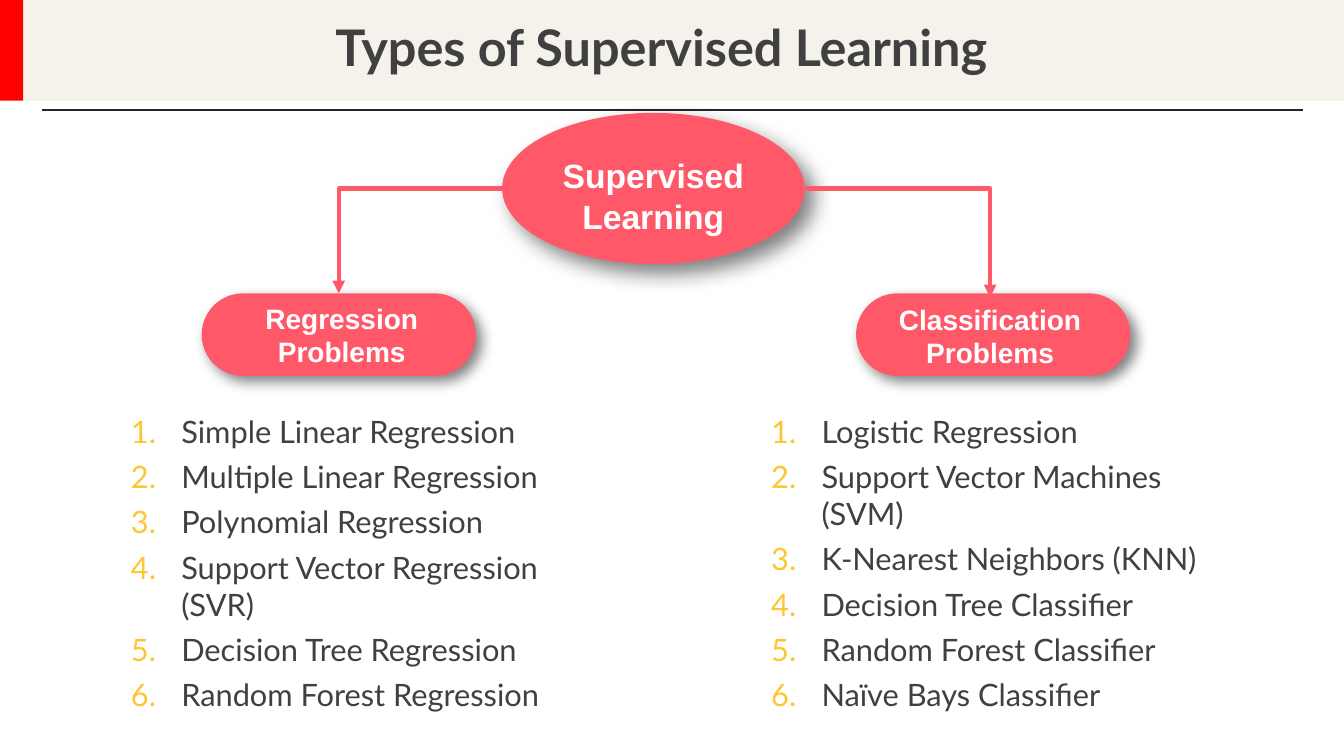
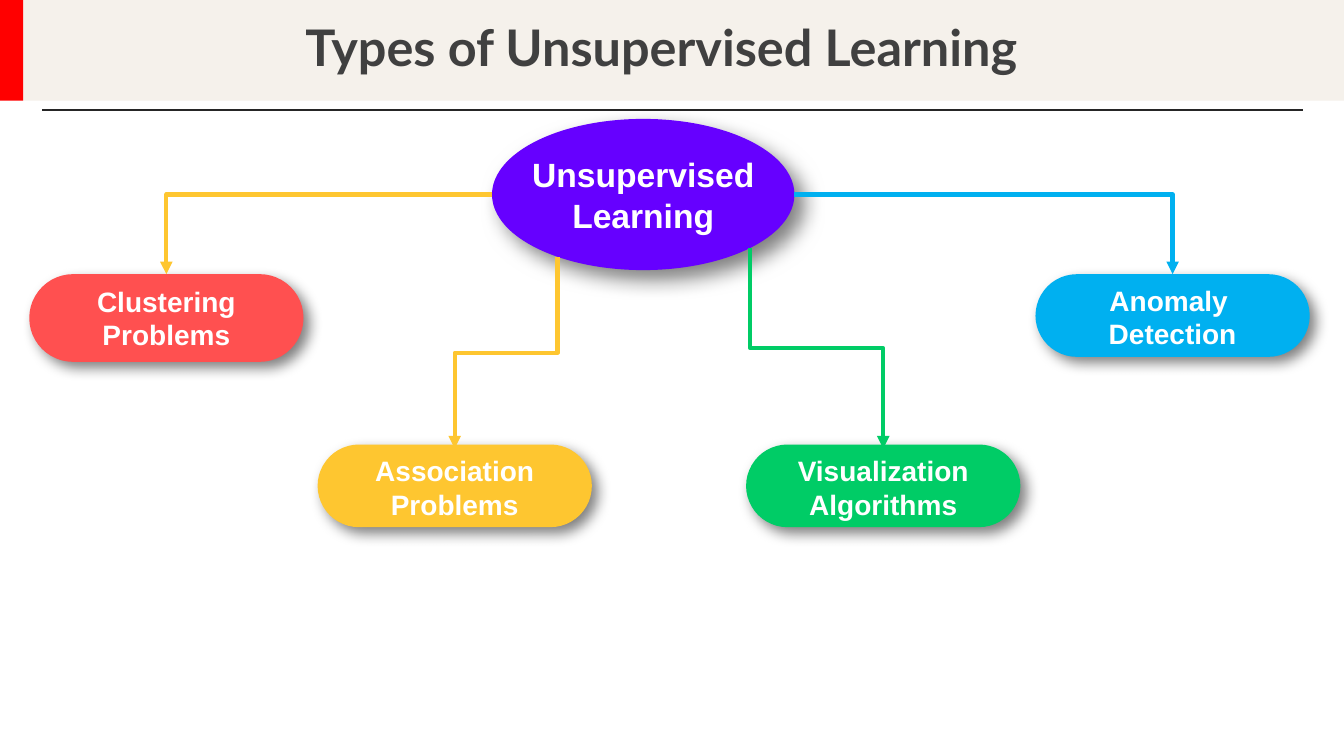
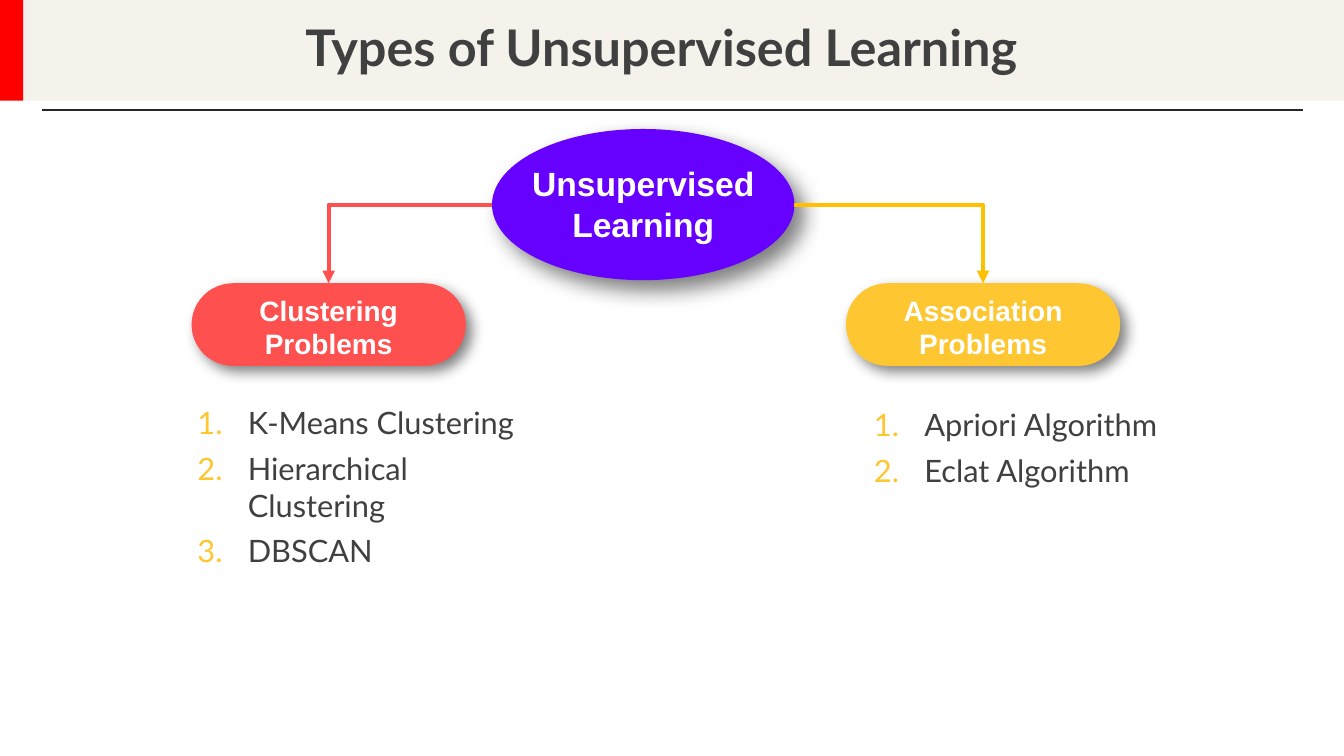
from dataclasses import dataclass

from lxml import etree
from pptx import Presentation
from pptx import util as u
from pptx.dml import color as c
from pptx.enum import shapes, text
from pptx.oxml import ns


# Shared look: colours, fonts, sizes
@dataclass(frozen=True)
class Theme:
    band: str = "F5F1EB"
    accent: str = "FF0000"
    rule: str = "262626"
    ink: str = "404040"
    white: str = "FFFFFF"
    coral: str = "FF5969"
    red: str = "FF5050"
    violet: str = "6600FF"
    amber: str = "FEC630"
    gold: str = "FFC000"
    blue: str = "00B0F0"
    green: str = "00CC66"
    body_font: str = "Lato"
    node_font: str = "Arial"
    title_size: int = 36
    root_size: int = 24
    pill_size: int = 20
    list_size: int = 22


THEME = Theme()
Point = tuple[float, float]


# Kinds of diagram node: geometry, label size and shadow
@dataclass(frozen=True)
class NodeStyle:
    shape: shapes.MSO_SHAPE
    width: float
    height: float
    label_width: float
    label_height: float
    size: int
    blur: int
    distance: int


ROOT = NodeStyle(shapes.MSO_SHAPE.OVAL, 3, 1.5, 2.7, 0.81, THEME.root_size, 15, 10)
PILL = NodeStyle(shapes.MSO_SHAPE.ROUNDED_RECTANGLE, 2.72, 0.82, 2.85, 0.77,
                 THEME.pill_size, 10, 6)


@dataclass(frozen=True)
class Node:
    style: NodeStyle
    lines: tuple[str, ...]
    left: float
    top: float
    fill: str
    label_shift: float = 0
    label_drop: float = 0.04
    extra_height: float = 0


@dataclass(frozen=True)
class Link:
    start: Point
    end: Point
    color: str
    vertical: bool = False


@dataclass(frozen=True)
class NumberedList:
    left: float
    top: float
    width: float
    height: float
    items: tuple[str, ...]


@dataclass(frozen=True)
class Diagram:
    title: str
    nodes: tuple[Node, ...]
    links: tuple[Link, ...]
    lists: tuple[NumberedList, ...] = ()


# Drawing helpers
def rgb(value: str) -> c.RGBColor:
    return c.RGBColor.from_string(value)


def add_xml(parent, tag: str, **attributes):
    child = etree.SubElement(parent, ns.qn(tag))
    for name, value in attributes.items():
        child.set(name, str(value))
    return child


def add_shape(parent, kind, left: float, top: float, width: float, height: float,
              fill: str):
    shape = parent.shapes.add_shape(kind, u.Inches(left), u.Inches(top),
                                    u.Inches(width), u.Inches(height))
    shape.fill.solid()
    shape.fill.fore_color.rgb = rgb(fill)
    shape.line.fill.background()
    shape.shadow.inherit = False
    return shape


def add_text_box(parent, left: float, top: float, width: float, height: float):
    box = parent.shapes.add_textbox(u.Inches(left), u.Inches(top),
                                    u.Inches(width), u.Inches(height))
    box.text_frame.word_wrap = True
    return box.text_frame


def add_paras(frame, lines: tuple[str, ...], font: str, size: int, color: str,
              bold: bool = False, align=text.PP_ALIGN.CENTER) -> list:
    paras = []
    for index, line in enumerate(lines):
        para = frame.add_paragraph() if index else frame.paragraphs[0]
        para.alignment = align
        span = para.add_run()
        span.text = line
        span.font.name = font
        span.font.size = u.Pt(size)
        span.font.bold = bold
        span.font.color.rgb = rgb(color)
        paras.append(para)
    return paras


def add_line(page, kind, start: Point, end: Point, color: str, weight: float):
    line = page.shapes.add_connector(kind, *(u.Inches(n) for n in start + end))
    line.line.color.rgb = rgb(color)
    line.line.width = u.Pt(weight)
    add_xml(line.element.spPr, "a:effectLst")
    return line


def add_header(page, title: str) -> None:
    rectangle = shapes.MSO_SHAPE.RECTANGLE
    add_shape(page, rectangle, 0.23, 0, 13.1, 1, THEME.band)
    frame = add_text_box(page, 0.63, 0, 11.86, 1)
    frame.vertical_anchor = text.MSO_ANCHOR.MIDDLE
    para, = add_paras(frame, (title,), THEME.body_font, THEME.title_size,
                      THEME.ink, bold=True)
    para.line_spacing = 0.9
    add_shape(page, rectangle, 0, 0, 0.23, 1, THEME.accent)
    add_line(page, shapes.MSO_CONNECTOR.STRAIGHT, (0.42, 1.09), (12.92, 1.09),
             THEME.rule, 1.5)


def add_node(page, node: Node) -> None:
    style = node.style
    group = page.shapes.add_group_shape()
    shape = add_shape(group, style.shape, node.left, node.top, style.width,
                      style.height + node.extra_height, node.fill)
    if style is PILL:
        shape.adjustments[0] = 0.5
    effects = shape.element.spPr.find(ns.qn("a:effectLst"))
    shadow = add_xml(effects, "a:outerShdw", blurRad=u.Pt(style.blur),
                     dist=u.Pt(style.distance), dir=45 * 60000,
                     algn="tl", rotWithShape=0)
    tint = add_xml(shadow, "a:srgbClr", val="000000")
    add_xml(tint, "a:alpha", val=50000)
    label_left = node.left + (style.width - style.label_width) / 2 + node.label_shift
    frame = add_text_box(group, label_left, node.top + node.label_drop,
                         style.label_width, style.label_height)
    add_paras(frame, node.lines, THEME.node_font, style.size, THEME.white, bold=True)


def add_link(page, link: Link) -> None:
    """Draw an elbow arrow; a vertical one leaves its start downwards."""
    (x1, y1), (x2, y2) = link.start, link.end
    width, height = abs(x2 - x1), abs(y2 - y1)
    if link.vertical:
        width, height = height, width
    left, top = (x1 + x2 - width) / 2, (y1 + y2 - height) / 2
    line = add_line(page, shapes.MSO_CONNECTOR.ELBOW, (left, top),
                    (left + width, top + height), link.color, 3)
    properties = line.element.spPr
    if not link.vertical:
        properties.find(ns.qn("a:prstGeom")).set("prst", "bentConnector2")
    # Turn and mirror by (vertical, towards the left)
    turn, mirror = {(False, False): (0, ""), (False, True): (180, "flipV"),
                    (True, False): (270, "flipH"), (True, True): (90, "")
                    }[link.vertical, x2 < x1]
    frame = properties.find(ns.qn("a:xfrm"))
    frame.set("rot", str(turn * 60000))
    if mirror:
        frame.set(mirror, "1")
    add_xml(properties.find(ns.qn("a:ln")), "a:tailEnd", type="triangle")


def add_list(page, block: NumberedList) -> None:
    frame = add_text_box(page, block.left, block.top, block.width, block.height)
    paras = add_paras(frame, block.items, THEME.body_font, THEME.list_size,
                      THEME.ink, align=text.PP_ALIGN.LEFT)
    for index, para in enumerate(paras):
        para.space_before = u.Pt(6 if index else 0)
        layout = para._p.get_or_add_pPr()
        layout.set("marL", str(u.Inches(0.5)))
        layout.set("indent", str(u.Inches(-0.5)))
        add_xml(add_xml(layout, "a:buClr"), "a:srgbClr", val=THEME.amber)
        add_xml(layout, "a:buAutoNum", type="arabicPeriod")


# Slide content
UNSUPERVISED = "Types of Unsupervised Learning"
CLUSTERING = ("Clustering Problems",)
ASSOCIATION = ("Association Problems",)

DIAGRAMS = (
    Diagram(
        "Types of Supervised Learning",
        (Node(ROOT, ("Supervised Learning",), 4.98, 1.12, THEME.coral, label_drop=0.37),
         Node(PILL, ("Classification Problems",), 8.49, 2.91, THEME.coral, -0.03),
         Node(PILL, ("Regression Problems",), 2, 2.91, THEME.coral, 0.03, 0.03)),
        (Link((4.98, 1.87), (3.36, 2.91), THEME.coral),
         Link((7.98, 1.87), (9.82, 2.95), THEME.coral)),
        (NumberedList(1.2, 4.04, 4.85, 3.11, (
            "Simple Linear Regression", "Multiple Linear Regression",
            "Polynomial Regression", "Support Vector Regression (SVR)",
            "Decision Tree Regression", "Random Forest Regression")),
         NumberedList(7.55, 4.04, 4.85, 3.11, (
             "Logistic Regression", "Support Vector Machines (SVM)",
             "K-Nearest Neighbors (KNN)", "Decision Tree Classifier",
             "Random Forest Classifier", "Naïve Bays Classifier"))),
    ),
    Diagram(
        UNSUPERVISED,
        (Node(ROOT, ("Unsupervised Learning",), 4.88, 1.18, THEME.violet, label_drop=0.3),
         Node(PILL, ("Anomaly ", "Detection"), 10.27, 2.72, THEME.blue),
         Node(PILL, CLUSTERING, 0.29, 2.72, THEME.red, label_drop=0.05,
              extra_height=0.05),
         Node(PILL, ASSOCIATION, 3.15, 4.41, THEME.amber),
         Node(PILL, ("Visualization Algorithms",), 7.4, 4.41, THEME.green)),
        (Link((4.88, 1.93), (1.65, 2.72), THEME.amber),
         Link((7.88, 1.93), (11.63, 2.72), THEME.blue),
         Link((5.53, 2.55), (4.51, 4.45), THEME.amber, vertical=True),
         Link((7.44, 2.46), (8.76, 4.45), THEME.green, vertical=True)),
    ),
    Diagram(
        UNSUPERVISED,
        (Node(ROOT, ("Unsupervised Learning",), 4.88, 1.28, THEME.violet, label_drop=0.29),
         Node(PILL, ASSOCIATION, 8.39, 2.81, THEME.amber, label_drop=0.05),
         Node(PILL, CLUSTERING, 1.9, 2.81, THEME.red, label_drop=0.05)),
        (Link((4.88, 2.03), (3.26, 2.81), THEME.red),
         Link((7.88, 2.03), (9.75, 2.81), THEME.gold)),
        (NumberedList(1.86, 3.96, 3.58, 1.75, (
            "K-Means Clustering", "Hierarchical Clustering", "DBSCAN")),
         NumberedList(8.57, 3.98, 3.13, 0.93, (
             "Apriori Algorithm", "Eclat Algorithm"))),
    ),
)


def main() -> None:
    deck = Presentation()
    deck.slide_width, deck.slide_height = u.Inches(13.33), u.Inches(7.5)
    for diagram in DIAGRAMS:
        page = deck.slides.add_slide(deck.slide_layouts[6])
        add_header(page, diagram.title)
        for node in diagram.nodes:
            add_node(page, node)
        for link in diagram.links:
            add_link(page, link)
        for block in diagram.lists:
            add_list(page, block)
    deck.save("out.pptx")


if __name__ == "__main__":
    main()
